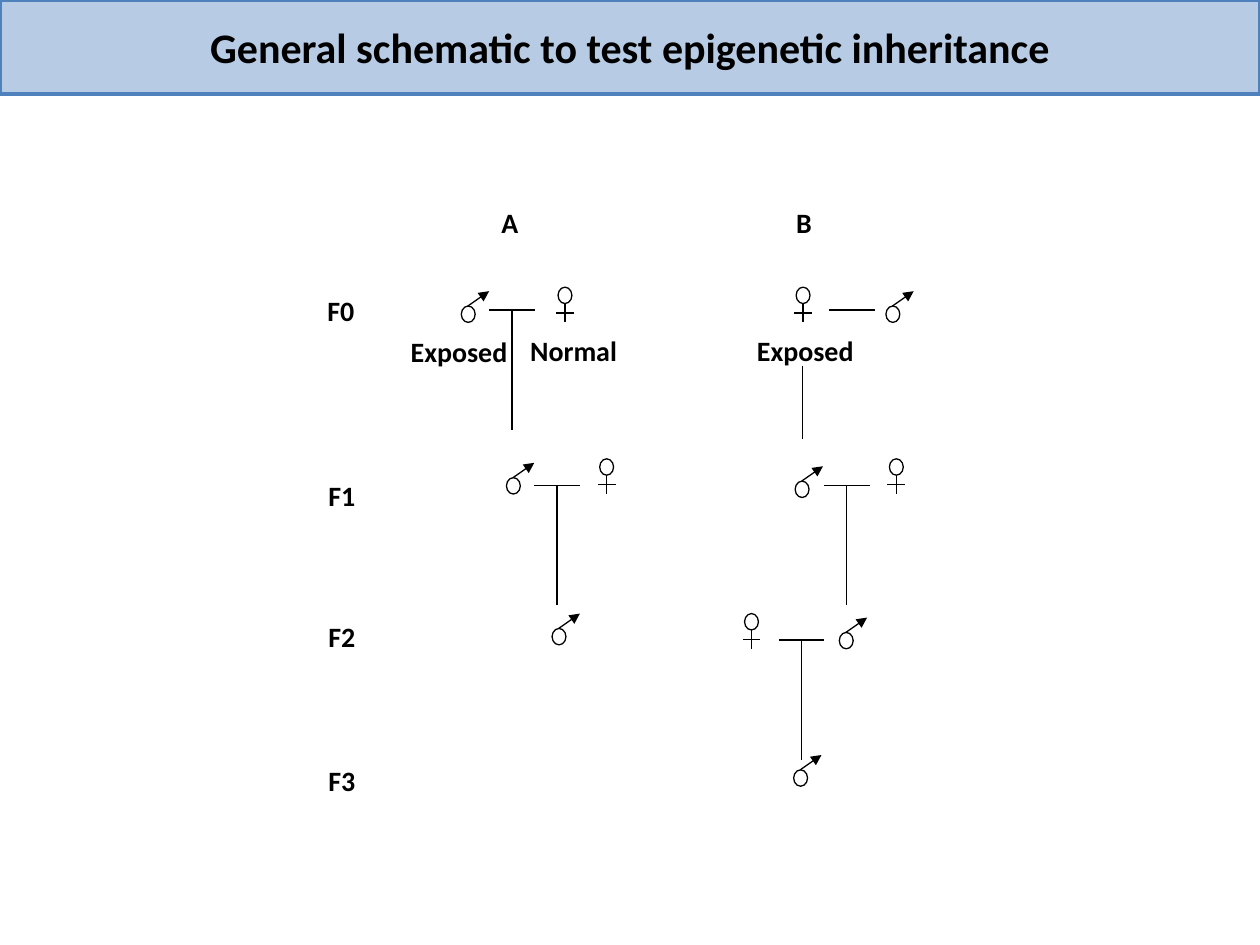
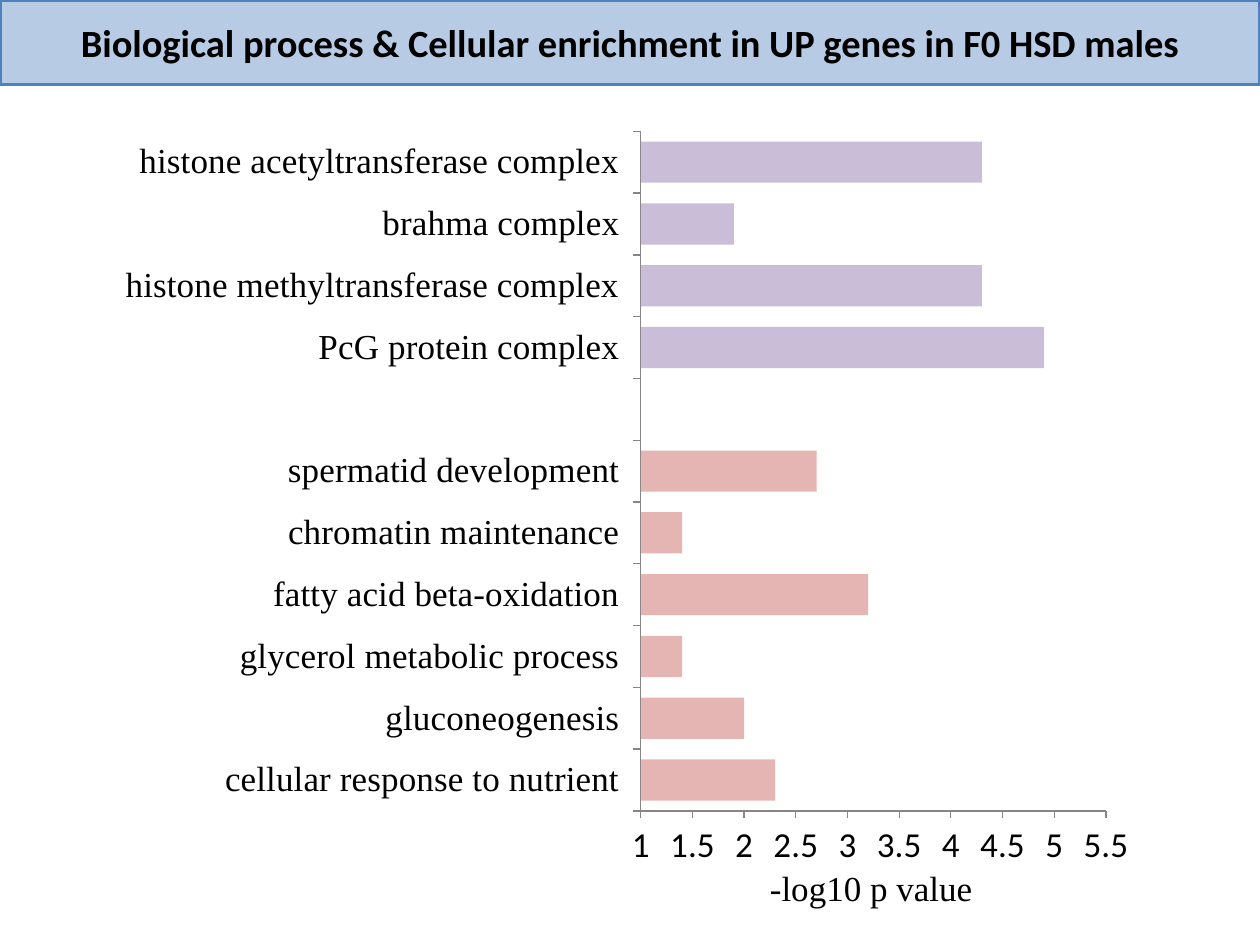
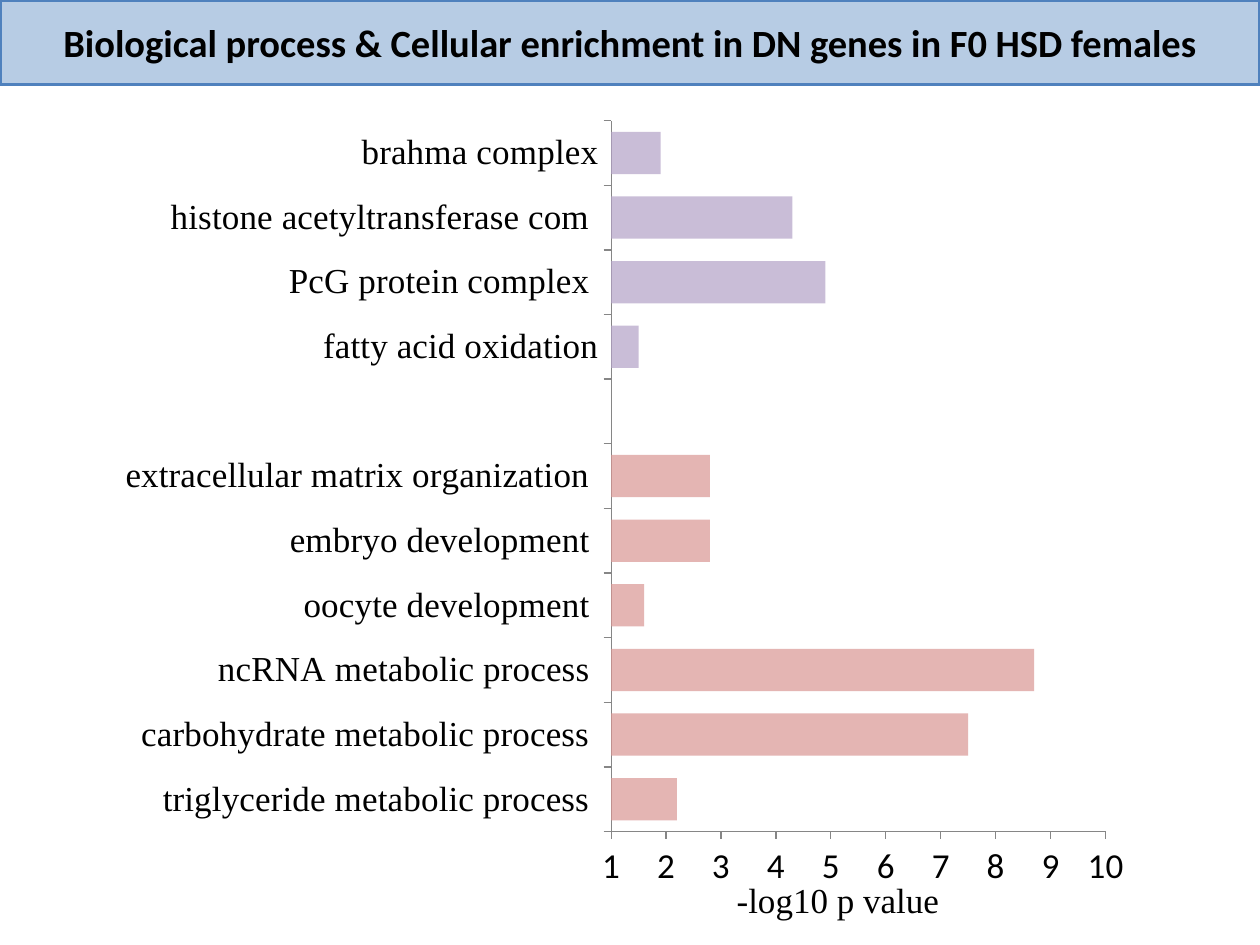
from lxml import etree
from pptx import Presentation
from pptx.chart.data import CategoryChartData
from pptx.dml.color import RGBColor
from pptx.enum.chart import XL_CHART_TYPE, XL_TICK_MARK
from pptx.enum.shapes import MSO_CONNECTOR, MSO_SHAPE
from pptx.enum.text import MSO_ANCHOR, MSO_AUTO_SIZE, PP_ALIGN
from pptx.oxml.ns import qn
from pptx.util import Cm, Pt

BAR_CHART = XL_CHART_TYPE.BAR_CLUSTERED
TICK_OUTSIDE = XL_TICK_MARK.OUTSIDE
STRAIGHT = MSO_CONNECTOR.STRAIGHT
OVAL = MSO_SHAPE.OVAL
MIDDLE = MSO_ANCHOR.MIDDLE
CENTER = PP_ALIGN.CENTER
FIXED_SIZE = MSO_AUTO_SIZE.NONE


class Theme:
    black = RGBColor.from_string("000000")
    band_fill = RGBColor.from_string("B7CCE4")
    band_line = RGBColor.from_string("4F81BD")
    axis = RGBColor.from_string("868686")
    process = RGBColor.from_string("D99694")
    cellular = RGBColor.from_string("B3A2C7")
    bar_opacity = 70
    sans, serif = "Calibri", "Times New Roman"
    label = {"size": Pt(16), "name": sans, "bold": True}
    axis_value = {"size": Pt(20), "name": sans}
    axis_text = {"size": Pt(20), "name": serif}


SLIDE_SIZE = (25.4, 19.05)

# Pedigree content, all lengths in centimetres
PEDIGREE_TITLE = "General schematic to test epigenetic inheritance"
LABELS = [  # text, left, top, width
    ("A", 9.86, 4.01, 0.86), ("B", 15.8, 4.01, 0.84),
    ("F0", 6.35, 5.79, 1.07), ("F1", 6.37, 9.53, 1.07),
    ("F2", 6.37, 12.37, 1.07), ("F3", 6.37, 15.27, 1.07),
    ("Exposed", 8.03, 6.62, 2.49), ("Normal", 10.44, 6.6, 2.29),
    ("Exposed", 15.01, 6.6, 2.49),
]
LABEL_HEIGHT = 0.94
MALES = [
    (9.3, 6.17), (10.21, 9.63), (11.13, 12.67),
    (17.86, 6.17), (16.03, 9.7), (16.92, 12.75), (16, 15.52),
]
FEMALES = [
    (11.25, 5.79), (12.09, 9.25),
    (16.05, 5.79), (17.93, 9.25), (15.01, 12.37),
]
MATINGS = [(9.86, 6.25), (10.77, 9.78), (16.71, 6.25), (16.61, 9.78), (15.7, 12.9)]
MATING_WIDTH = 0.92
DESCENTS = [  # x, top, bottom
    (10.32, 6.25, 8.66), (11.23, 9.78, 12.19),
    (16.18, 7.37, 8.84), (17.07, 9.78, 12.19), (16.16, 12.9, 15.32),
]
HEAD_WIDTH, HEAD_HEIGHT = 0.28, 0.33

# Enrichment content; categories run from the bottom bar upwards
AXIS_TITLE = "-log10 p value"
ENRICHMENTS = [
    {
        "title": "Biological process & Cellular enrichment in UP genes in F0 HSD males",
        "process": [
            ("cellular response to nutrient ", 2.3), ("gluconeogenesis ", 2),
            ("glycerol metabolic process ", 1.4), ("fatty acid beta-oxidation ", 3.2),
            ("chromatin maintenance ", 1.4), ("spermatid development ", 2.7),
        ],
        "cellular": [
            ("PcG protein complex ", 4.9), ("histone methyltransferase complex ", 4.3),
            ("brahma complex ", 1.9), ("histone acetyltransferase complex ", 4.3),
        ],
        "box": (2.11, 2.34, 21.06, 15.44),
        "axis_title_at": (15.27, 17.35),
        "scale": {"minimum_scale": 1, "maximum_scale": 5.5, "major_unit": 0.5},
        "gap": 50,
    },
    {
        "title": "Biological process & Cellular enrichment in DN genes in F0 HSD females",
        "process": [
            ("triglyceride metabolic process ", 2.2), ("carbohydrate metabolic process ", 7.5),
            ("ncRNA metabolic process ", 8.7), ("oocyte development ", 1.6),
            ("embryo development ", 2.8), ("extracellular matrix organization ", 2.8),
        ],
        "cellular": [
            ("fatty acid oxidation", 1.5), ("PcG protein complex ", 4.9),
            ("histone acetyltransferase com ", 4.3), ("brahma complex", 1.9),
        ],
        "box": (2.11, 2.11, 20.96, 16.1),
        "axis_title_at": (14.6, 17.58),
        "scale": {"minimum_scale": 1, "maximum_scale": 10, "major_unit": 1},
        "gap": 53,
    },
]


# Shared helpers
def set_all(target, values):
    for name, value in values.items():
        setattr(target, name, value)


def format_font(font, values):
    set_all(font, values)
    font.color.rgb = Theme.black


def add_titled_slide(presentation, text, height, size):
    slide = presentation.slides.add_slide(presentation.slide_layouts[5])
    title = slide.shapes.title
    set_all(title, {"left": 0, "top": 0, "width": presentation.slide_width,
                    "height": Cm(height)})
    title.fill.solid()
    title.fill.fore_color.rgb = Theme.band_fill
    title.line.color.rgb = Theme.band_line
    title.line.width = Pt(2)
    frame = title.text_frame
    frame.text = text
    set_all(frame, {"word_wrap": True, "auto_size": FIXED_SIZE,
                    "vertical_anchor": MIDDLE})
    paragraph = frame.paragraphs[0]
    paragraph.alignment = CENTER
    format_font(paragraph.font, {"size": Pt(size), "name": Theme.sans, "bold": True})
    return slide


def add_label(shapes, text, left, top, width, height, font):
    box = shapes.add_textbox(Cm(left), Cm(top), Cm(width), Cm(height))
    box.text_frame.word_wrap = False
    box.text_frame.text = text
    format_font(box.text_frame.paragraphs[0].font, font)


# Pedigree symbols
def add_line(shapes, x1, y1, x2, y2, arrow=False):
    connector = shapes.add_connector(STRAIGHT, Cm(x1), Cm(y1), Cm(x2), Cm(y2))
    connector.line.color.rgb = Theme.black
    connector.line.width = Pt(0.75)
    if arrow:
        etree.SubElement(connector.line._get_or_add_ln(), qn("a:tailEnd"), type="triangle")
    etree.SubElement(connector._element.spPr, qn("a:effectLst"))


def add_head(shapes, left, top):
    head = shapes.add_shape(OVAL, Cm(left), Cm(top), Cm(HEAD_WIDTH), Cm(HEAD_HEIGHT))
    head.shadow.inherit = False
    head.fill.background()
    head.line.color.rgb = Theme.black
    head.line.width = Pt(0.75)


def add_male(shapes, left, top):
    add_head(shapes, left, top)
    add_line(shapes, left + 0.13, top, left + 0.56, top - 0.3, arrow=True)


def add_female(shapes, left, top):
    add_head(shapes, left, top)
    middle = left + HEAD_WIDTH / 2
    add_line(shapes, middle, top + HEAD_HEIGHT, middle, top + 0.71)
    add_line(shapes, middle - 0.18, top + 0.52, middle + 0.18, top + 0.52)


def build_pedigree(presentation):
    slide = add_titled_slide(presentation, PEDIGREE_TITLE, 1.9, 24)
    shapes = slide.shapes.add_group_shape().shapes
    for text, left, top, width in LABELS:
        add_label(shapes, text, left, top, width, LABEL_HEIGHT, Theme.label)
    for left, top in MALES:
        add_male(shapes, left, top)
    for left, top in FEMALES:
        add_female(shapes, left, top)
    for left, y in MATINGS:
        add_line(shapes, left, y, left + MATING_WIDTH, y)
    for x, top, bottom in DESCENTS:
        add_line(shapes, x, top, x, bottom)


# Enrichment charts
def colour_bars(series, process_count):
    bars = [series] + [series.points[index] for index in range(process_count)]
    colours = [Theme.cellular] + [Theme.process] * process_count
    for bar, colour in zip(bars, colours):
        bar.format.fill.solid()
        bar.format.fill.fore_color.rgb = colour
    for colour in series._element.iter(qn("a:srgbClr")):
        etree.SubElement(colour, qn("a:alpha"), val=str(Theme.bar_opacity * 1000))


def build_enrichment(presentation, content):
    slide = add_titled_slide(presentation, content["title"], 1.7, 22)
    rows = content["process"] + [("", None)] + content["cellular"]
    data = CategoryChartData()
    data.categories = [name for name, value in rows]
    data.add_series("Series 1", [value for name, value in rows])
    box = [Cm(length) for length in content["box"]]
    chart = slide.shapes.add_chart(BAR_CHART, *box, data).chart
    chart.has_legend = False
    chart.has_title = False
    format_font(chart.font, {"size": Pt(10), "name": Theme.sans})

    plot = chart.plots[0]
    set_all(plot, {"gap_width": content["gap"], "vary_by_categories": False})
    series = plot.series[0]
    series.invert_if_negative = False
    colour_bars(series, len(content["process"]))

    for axis, font in ((chart.category_axis, Theme.axis_text),
                       (chart.value_axis, Theme.axis_value)):
        set_all(axis, {"has_major_gridlines": False, "major_tick_mark": TICK_OUTSIDE})
        axis.format.line.color.rgb = Theme.axis
        format_font(axis.tick_labels.font, font)
    set_all(chart.value_axis, content["scale"])
    set_all(chart.value_axis.tick_labels,
            {"number_format": "General", "number_format_is_linked": False})
    add_label(slide.shapes, AXIS_TITLE, *content["axis_title_at"], 4.62, 1.12,
              Theme.axis_text)


def main():
    presentation = Presentation()
    presentation.slide_width, presentation.slide_height = map(Cm, SLIDE_SIZE)
    build_pedigree(presentation)
    for content in ENRICHMENTS:
        build_enrichment(presentation, content)
    presentation.save("out.pptx")


if __name__ == "__main__":
    main()
